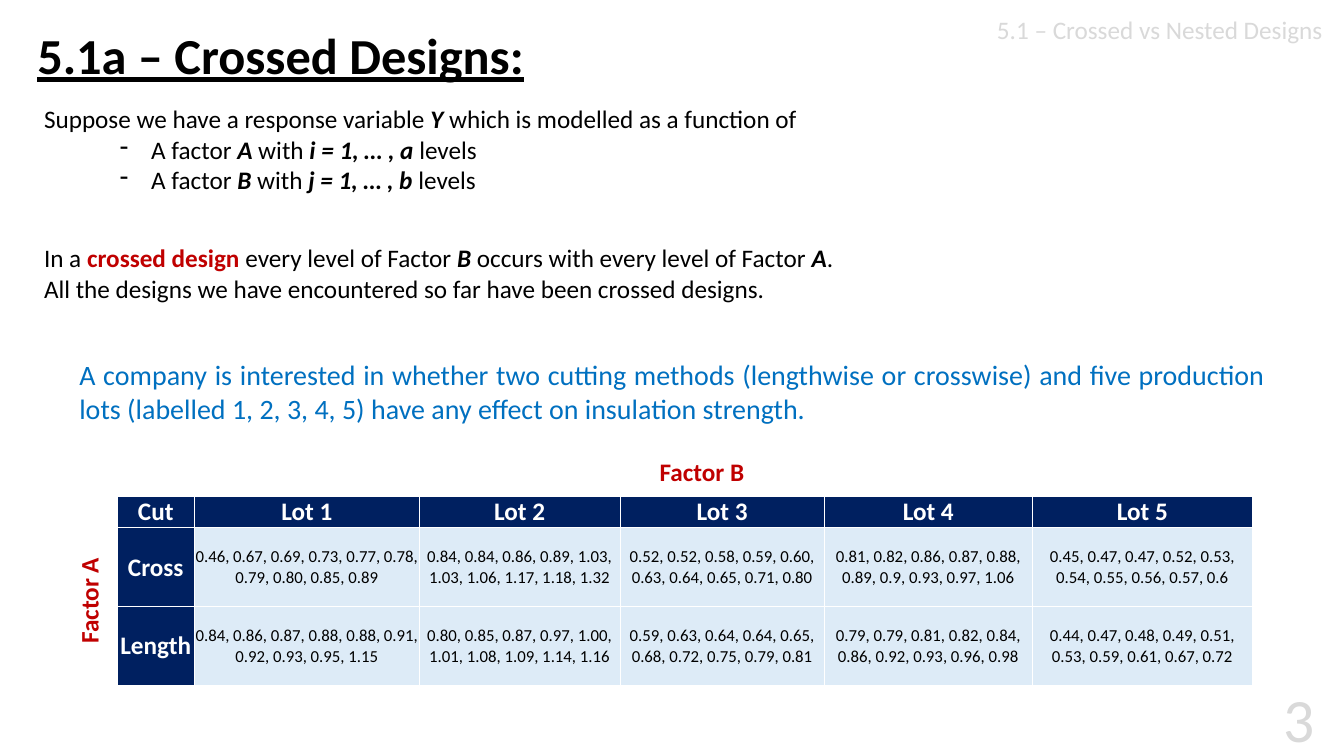
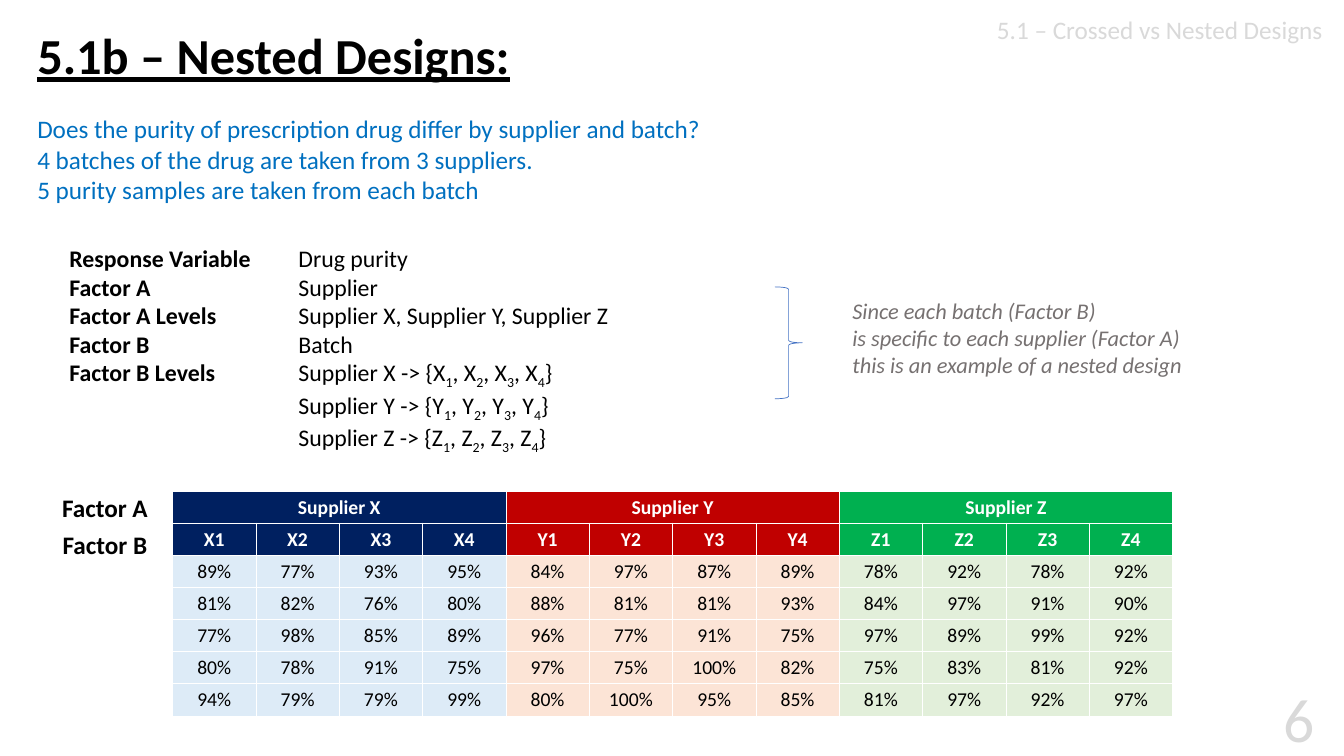
import pptx
import pptx.util
import pptx.dml.color
import pptx.enum.shapes
import pptx.enum.text
import pptx.oxml
import pptx.oxml.ns
from dataclasses import dataclass
from typing import NamedTuple, Optional, Sequence, Union

Cm, Pt = pptx.util.Cm, pptx.util.Pt
ALIGN = pptx.enum.text.PP_ALIGN
ANCHOR = pptx.enum.text.MSO_ANCHOR
FONT = "Calibri"
SECTION = "5.1 – Crossed vs Nested Designs"
CELL_MARGIN = 0.02

COLORS = {
    "black": "000000", "white": "FFFFFF", "faint": "D9D9D9", "gray": "767171",
    "question": "0070C0", "brace": "4472C4",
    "navy": "002060", "red": "C00000", "green": "00B050",
    "pale_blue": "DDEBF7", "pale_red": "FCE4D6", "pale_green": "E2EFDA",
}


class Box(NamedTuple):
    """Left, top, width and height in centimetres."""
    left: float
    top: float
    width: float
    height: float


@dataclass(frozen=True)
class Style:
    size: float = 18
    color: str = "black"
    bold: bool = False
    italic: bool = False
    underline: bool = False
    align: ALIGN = ALIGN.JUSTIFY


@dataclass(frozen=True)
class Run:
    text: str
    bold: bool = False
    italic: bool = False
    color: Optional[str] = None
    sub: bool = False


@dataclass(frozen=True)
class Para:
    runs: Sequence[Run]
    dash: bool = False
    tab: Optional[float] = None


@dataclass(frozen=True)
class Cell:
    text: str
    fill: str
    style: Style


@dataclass(frozen=True)
class Supplier:
    letter: str
    fill: str
    pale: str
    purity: Sequence[str]


Line = Union[str, Para]

BODY = Style()
TITLE = Style(36, bold=True, underline=True, align=ALIGN.LEFT)
HEADER = Style(color="faint", align=ALIGN.RIGHT)
NUMBER = Style(44, "faint", align=ALIGN.RIGHT)
FACTOR_RED = Style(color="red", bold=True, align=ALIGN.CENTER)
FACTOR_BLACK = Style(bold=True, align=ALIGN.CENTER)


# ---- Text ----
def rgb(name: str) -> pptx.dml.color.RGBColor:
    return pptx.dml.color.RGBColor.from_string(COLORS[name])


def format_run(r, style: Style, run: Optional[Run] = None) -> None:
    f = r.font
    f.name, f.size = FONT, Pt(style.size)
    f.bold = style.bold or bool(run and run.bold)
    f.italic = style.italic or bool(run and run.italic)
    f.underline = style.underline
    f.color.rgb = rgb(run.color if run and run.color else style.color)
    if run and run.sub:
        f._element.set("baseline", "-25000")


def add_ppr(p, xml: str) -> None:
    ns = pptx.oxml.ns.nsdecls("a")
    p._p.get_or_add_pPr().append(pptx.oxml.parse_xml(xml.replace(" ", f" {ns} ", 1)))


def fill_paragraph(p, line: Line, style: Style) -> None:
    p.alignment = style.align
    if isinstance(line, str):
        p.text = line
        for r in p.runs:
            format_run(r, style)
        return
    if line.dash:
        ppr = p._p.get_or_add_pPr()
        ppr.set("marL", str(Cm(2.7)))
        ppr.set("indent", str(-Cm(0.79)))
        add_ppr(p, '<a:buChar char="-"/>')
    if line.tab:
        add_ppr(p, f'<a:tabLst ><a:tab pos="{Cm(line.tab)}" algn="l"/></a:tabLst>')
    for run in line.runs:
        r = p.add_run()
        r.text = run.text
        format_run(r, style, run)


def add_text(s, box: Box, lines: Sequence[Line], style: Style = BODY,
             spacing: Optional[float] = None, rotation: float = 0) -> None:
    sp = s.shapes.add_textbox(*map(Cm, box))
    sp.rotation = rotation
    tf = sp.text_frame
    tf.word_wrap = True
    for i, line in enumerate(lines):
        p = tf.add_paragraph() if i else tf.paragraphs[0]
        fill_paragraph(p, line, style)
        if spacing:
            p.line_spacing = spacing


# ---- Tables ----
def add_borders(cell) -> None:
    tcpr = cell._tc.get_or_add_tcPr()
    for side in "LRTB":
        tcpr.append(pptx.oxml.parse_xml(
            f'<a:ln{side} {pptx.oxml.ns.nsdecls("a")} w="{Pt(0.5)}"><a:solidFill>'
            f'<a:srgbClr val="{COLORS["white"]}"/></a:solidFill></a:ln{side}>'))


def add_table(s, left: float, top: float, widths: Sequence[float],
              heights: Sequence[float], rows: Sequence[Sequence[Cell]]):
    box = Box(left, top, sum(widths), sum(heights))
    table = s.shapes.add_table(len(rows), len(widths), *map(Cm, box)).table
    table.first_row = table.horz_banding = False
    for col, width in zip(table.columns, widths):
        col.width = Cm(width)
    for row, height, cells in zip(table.rows, heights, rows):
        row.height = Cm(height)
        for cell, item in zip(row.cells, cells):
            cell.margin_left = cell.margin_right = cell.margin_top = Cm(CELL_MARGIN)
            cell.margin_bottom = 0
            cell.vertical_anchor = ANCHOR.MIDDLE
            add_borders(cell)
            cell.fill.solid()
            cell.fill.fore_color.rgb = rgb(item.fill)
            fill_paragraph(cell.text_frame.paragraphs[0], item.text, item.style)
    return table


# ---- Shared slide frame ----
def add_slide(prs, title: str, number: int):
    s = prs.slides.add_slide(prs.slide_layouts[6])
    add_text(s, Box(0.69, 0.66, 22.68, 1.68), [title], TITLE, spacing=0.9)
    add_text(s, Box(22.58, 0.23, 11, 1.02), [SECTION], HEADER)
    add_text(s, Box(30.38, 17.04, 3, 2), [str(number)], NUMBER)
    return s


# ---- Crossed designs ----
LOTS = {
    "Cross": [
        "0.46, 0.67, 0.69, 0.73, 0.77, 0.78, 0.79, 0.80, 0.85, 0.89",
        "0.84, 0.84, 0.86, 0.89, 1.03, 1.03, 1.06, 1.17, 1.18, 1.32",
        "0.52, 0.52, 0.58, 0.59, 0.60, 0.63, 0.64, 0.65, 0.71, 0.80",
        "0.81, 0.82, 0.86, 0.87, 0.88, 0.89, 0.9, 0.93, 0.97, 1.06",
        "0.45, 0.47, 0.47, 0.52, 0.53, 0.54, 0.55, 0.56, 0.57, 0.6",
    ],
    "Length": [
        "0.84, 0.86, 0.87, 0.88, 0.88, 0.91, 0.92, 0.93, 0.95, 1.15",
        "0.80, 0.85, 0.87, 0.97, 1.00, 1.01, 1.08, 1.09, 1.14, 1.16",
        "0.59, 0.63, 0.64, 0.64, 0.65, 0.68, 0.72, 0.75, 0.79, 0.81",
        "0.79, 0.79, 0.81, 0.82, 0.84, 0.86, 0.92, 0.93, 0.96, 0.98",
        "0.44, 0.47, 0.48, 0.49, 0.51, 0.53, 0.59, 0.61, 0.67, 0.72",
    ],
}


def symbol(text: str) -> Run:
    return Run(text, bold=True, italic=True)


def factor_line(name: str, levels: str) -> Para:
    return Para([Run("A factor "), symbol(name), Run(" with "), symbol(levels),
                 Run(" levels")], dash=True)


def crossed_slide(prs) -> None:
    s = add_slide(prs, "5.1a – Crossed Designs:", 3)
    add_text(s, Box(0.86, 2.49, 32.72, 2.79), [
        Para([Run("Suppose we have a response variable "), symbol("Y"),
              Run(" which is modelled as a function of")]),
        factor_line("A", "i = 1, … , a"),
        factor_line("B", "j = 1, … , b"),
    ])
    add_text(s, Box(0.86, 5.99, 32.72, 1.88), [
        Para([Run("In a "), Run("crossed design ", bold=True, color="red"),
              Run("every level of Factor "), symbol("B"),
              Run(" occurs with every level of Factor "), symbol("A"), Run(".")]),
        "All the designs we have encountered so far have been crossed designs.",
    ])
    add_text(s, Box(1.75, 8.89, 30.38, 2.21), [
        "A company is interested in whether two cutting methods (lengthwise or "
        "crosswise) and five production lots (labelled 1, 2, 3, 4, 5) have any "
        "effect on insulation strength."], Style(20, "question"))

    # Strength by cut and lot
    head = Style(18, "white", bold=True, align=ALIGN.CENTER)
    data = Style(12, align=ALIGN.CENTER)
    titles = ["Cut"] + [f"Lot {n}" for n in range(1, 6)]
    rows = [[Cell(t, "navy", head) for t in titles]]
    for cut, values in LOTS.items():
        rows.append([Cell(cut, "navy", head)]
                    + [Cell(v, "pale_blue", data) for v in values])
    add_table(s, 2.95, 12.5, [1.95, 5.67, 5.05, 5.16, 5.23, 5.56],
              [0.8, 1.98, 1.98], rows)
    add_text(s, Box(11.96, 11.38, 11.46, 1.22), ["Factor B"], FACTOR_RED)
    add_text(s, Box(0.38, 14.53, 3.91, 1.22), ["Factor A"], FACTOR_RED, rotation=270)


# ---- Nested designs ----
SUPPLIERS = [
    Supplier("X", "navy", "pale_blue",
             ["89 77 93 95", "81 82 76 80", "77 98 85 89", "80 78 91 75", "94 79 79 99"]),
    Supplier("Y", "red", "pale_red",
             ["84 97 87 89", "88 81 81 93", "96 77 91 75", "97 75 100 82", "80 100 95 85"]),
    Supplier("Z", "green", "pale_green",
             ["78 92 78 92", "84 97 91 90", "97 89 99 92", "75 83 81 92", "81 97 92 97"]),
]
BATCHES = range(1, 5)


def definition(term: str, *meaning: Run) -> Para:
    return Para([Run(term, bold=True), Run("\t"), *meaning], tab=5.77)


def batch_runs(letter: str) -> list[Run]:
    runs = [Run(f"Supplier {letter} -> {{")]
    for n in BATCHES:
        runs += [Run(letter if n == 1 else f", {letter}"), Run(str(n), sub=True)]
    return runs + [Run("}")]


def nested_slide(prs) -> None:
    s = add_slide(prs, "5.1b – Nested Designs:", 6)
    lines = [definition(term, Run(meaning)) for term, meaning in [
        ("Response Variable", "Drug purity"),
        ("Factor A", "Supplier"),
        ("Factor A Levels", "Supplier X, Supplier Y, Supplier Z"),
        ("Factor B", "Batch"),
    ]]
    lines += [definition("" if i else "Factor B Levels", *batch_runs(sup.letter))
              for i, sup in enumerate(SUPPLIERS)]
    add_text(s, Box(1.5, 6.02, 17.53, 5.31), lines, Style(17, align=ALIGN.LEFT))
    add_text(s, Box(0.69, 2.74, 30.38, 2.41), [
        "Does the purity of prescription drug differ by supplier and batch?",
        "4 batches of the drug are taken from 3 suppliers.",
        "5 purity samples are taken from each batch",
    ], Style(color="question"))

    # Bracketed remark
    add_text(s, Box(21.23, 7.37, 10.31, 2.79), [
        "Since each batch (Factor B)\vis specific to each supplier (Factor A)\v"
        "this is an example of a nested design"],
        Style(16, "gray", italic=True, align=ALIGN.LEFT))
    brace = s.shapes.add_shape(pptx.enum.shapes.MSO_SHAPE.RIGHT_BRACE,
                               *map(Cm, Box(19.53, 7.23, 0.69, 2.82)))
    brace.shadow.inherit = False
    brace.fill.background()
    brace.line.color.rgb = rgb("brace")
    brace.line.width = Pt(0.5)

    # Purity by supplier and batch
    for i, label in enumerate(["Factor A", "Factor B"]):
        add_text(s, Box(0.69, 12.29 + 0.92 * i, 3.91, 1.07), [label], FACTOR_BLACK)
    head = Style(14, "white", bold=True, align=ALIGN.CENTER)
    data = Style(14, align=ALIGN.CENTER)
    span = len(BATCHES)
    rows = [
        [Cell("" if n > 1 else f"Supplier {sup.letter}", sup.fill, head)
         for sup in SUPPLIERS for n in BATCHES],
        [Cell(f"{sup.letter}{n}", sup.fill, head) for sup in SUPPLIERS for n in BATCHES],
    ]
    for i in range(len(SUPPLIERS[0].purity)):
        rows.append([Cell(f"{v}%", sup.pale, data)
                     for sup in SUPPLIERS for v in sup.purity[i].split()])
    table = add_table(s, 4.35, 12.37, [2.1] * len(rows[0]), [0.81] * len(rows), rows)
    for first in range(0, len(rows[0]), span):
        table.cell(0, first).merge(table.cell(0, first + span - 1))


def main() -> None:
    prs = pptx.Presentation()
    prs.slide_width, prs.slide_height = Cm(33.87), Cm(19.05)
    crossed_slide(prs)
    nested_slide(prs)
    prs.save("out.pptx")


if __name__ == "__main__":
    main()
